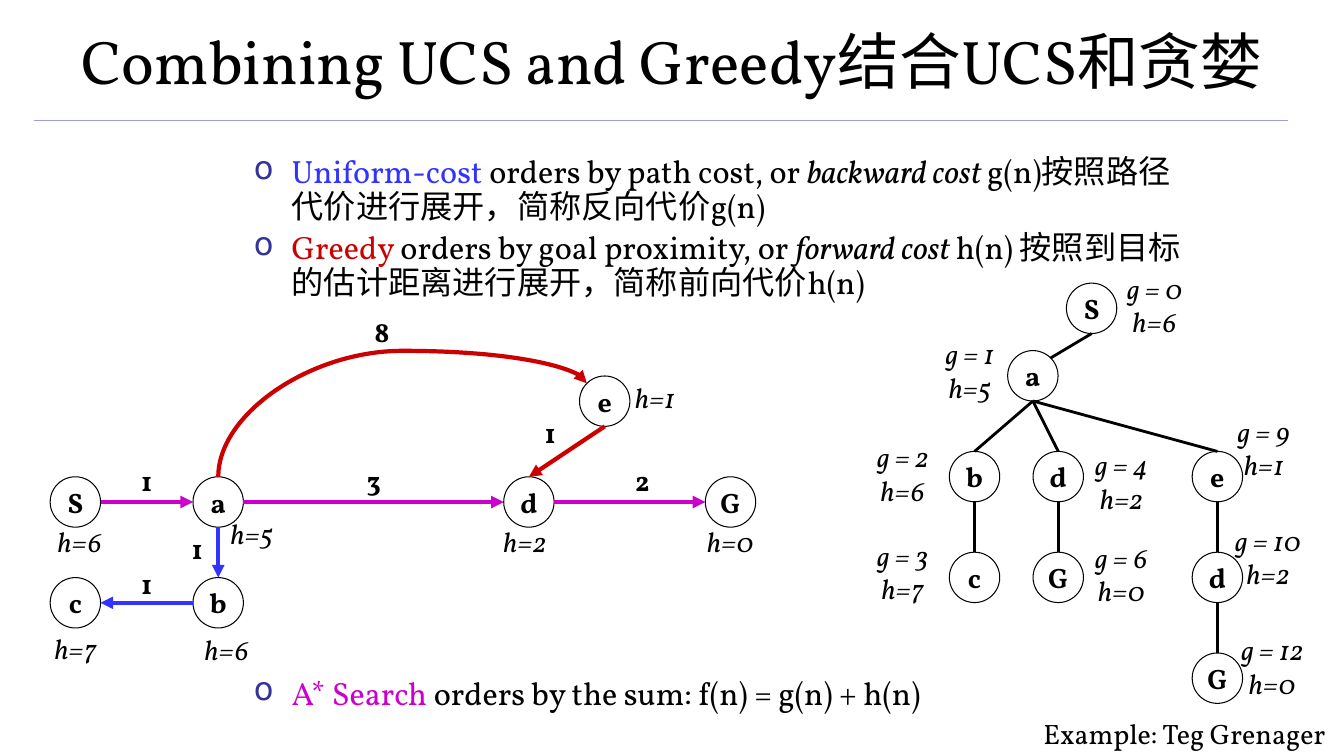
from dataclasses import dataclass
from enum import Enum

from lxml.etree import SubElement
from pptx import Presentation
from pptx.dml.color import RGBColor
from pptx.enum.shapes import MSO_CONNECTOR as Line, MSO_SHAPE as Preset
from pptx.enum.text import MSO_ANCHOR as Anchor, PP_ALIGN as Align
from pptx.oxml.ns import qn
from pptx.util import Cm, Pt


@dataclass(frozen=True)
class Theme:
    font: str = "Vollkorn"
    black: str = "000000"
    white: str = "FFFFFF"
    rule: str = "9C9CDF"
    bullet: str = "333399"
    blue: str = "3333FF"
    red: str = "CC0000"
    magenta: str = "CC00CC"
    title_size: float = 44
    body_size: float = 23
    label_size: float = 20


THEME = Theme()
RADIUS = 0.635


class Port(Enum):
    """Points on a node's rim, in radii from its centre."""
    TOP = (0, -1)
    BOTTOM = (0, 1)
    LEFT = (-1, 0)
    RIGHT = (1, 0)
    UPPER_LEFT = (-0.71, -0.71)
    UPPER_RIGHT = (0.71, -0.71)


@dataclass(frozen=True)
class Node:
    name: str
    x: float
    y: float

    def port(self, port: Port) -> tuple[float, float]:
        dx, dy = port.value
        return self.x + dx * RADIUS, self.y + dy * RADIUS


@dataclass(frozen=True)
class Edge:
    start: Node
    end: Node
    start_port: Port = Port.BOTTOM
    end_port: Port = Port.TOP
    color: str = THEME.black
    width: float = 2
    arrow: bool = False


@dataclass(frozen=True)
class Run:
    text: str
    color: str = THEME.black
    size: float = THEME.label_size
    bold: bool = False
    italic: bool = False


@dataclass(frozen=True)
class Label:
    text: str
    left: float
    top: float
    width: float
    height: float = 1.09


def add_run(paragraph, spec: Run) -> None:
    run = paragraph.add_run()
    run.text = spec.text
    font = run.font
    font.name, font.size = THEME.font, Pt(spec.size)
    font.bold, font.italic = spec.bold, spec.italic
    font.color.rgb = RGBColor.from_string(spec.color)


def add_text(slide, place: Label, run: Run, align: Align = Align.CENTER,
             anchor: Anchor = Anchor.TOP) -> None:
    box = slide.shapes.add_textbox(Cm(place.left), Cm(place.top), Cm(place.width), Cm(place.height))
    frame = box.text_frame
    frame.word_wrap, frame.vertical_anchor = True, anchor
    frame.paragraphs[0].alignment = align
    add_run(frame.paragraphs[0], run)


def add_bullets(slide, top: float, height: float, items: list[list[Run]]) -> None:
    box = slide.shapes.add_textbox(Cm(6.15), Cm(top), Cm(24.33), Cm(height))
    frame = box.text_frame
    frame.word_wrap = True
    for index, runs in enumerate(items):
        paragraph = frame.add_paragraph() if index else frame.paragraphs[0]
        properties = paragraph._p.get_or_add_pPr()
        properties.set("marL", str(Cm(0.95)))
        properties.set("indent", str(-Cm(0.95)))
        color = SubElement(properties, qn("a:buClr"))
        SubElement(color, qn("a:srgbClr"), val=THEME.bullet)
        SubElement(properties, qn("a:buChar"), char="o")
        paragraph.line_spacing = 0.9
        if index:
            paragraph.space_before = Pt(0.2 * THEME.body_size)
        for run in runs:
            add_run(paragraph, run)


def add_line(slide, start: tuple[float, float], end: tuple[float, float], color: str,
             width: float, arrow: bool = False, kind: Line = Line.STRAIGHT):
    line = slide.shapes.add_connector(kind, *(Cm(value) for value in (*start, *end)))
    line.line.color.rgb = RGBColor.from_string(color)
    line.line.width = Pt(width)
    if arrow:
        SubElement(line.line._get_or_add_ln(), qn("a:tailEnd"), type="triangle")
    SubElement(line._element.spPr, qn("a:effectLst"))
    return line


def add_edge(slide, edge: Edge) -> None:
    add_line(slide, edge.start.port(edge.start_port), edge.end.port(edge.end_port),
             edge.color, edge.width, edge.arrow)


def add_arc(slide, edge: Edge, bulge: int) -> None:
    """Draw a curved connector turned a quarter left, so that it leaves upwards."""
    start, end = edge.start.port(edge.start_port), edge.end.port(edge.end_port)
    arc = add_line(slide, start, end, edge.color, edge.width, edge.arrow, Line.CURVE)
    across, rise = end[0] - start[0], start[1] - end[1]
    arc.left = Cm((start[0] + end[0] - rise) / 2)
    arc.top = Cm((start[1] + end[1] - across) / 2)
    arc.width, arc.height = Cm(rise), Cm(across)
    properties = arc._element.spPr
    transform = properties.find(qn("a:xfrm"))
    transform.attrib.pop("flipV", None)
    transform.set("rot", str(270 * 60000))
    guides = properties.find(qn("a:prstGeom")).find(qn("a:avLst"))
    SubElement(guides, qn("a:gd"), name="adj1", fmla=f"val {bulge}")


def add_node(slide, node: Node) -> None:
    circle = slide.shapes.add_shape(Preset.OVAL, Cm(node.x - RADIUS), Cm(node.y - RADIUS),
                                    Cm(2 * RADIUS), Cm(2 * RADIUS))
    circle.shadow.inherit = False
    circle.fill.solid()
    circle.fill.fore_color.rgb = RGBColor.from_string(THEME.white)
    circle.line.color.rgb = RGBColor.from_string(THEME.black)
    circle.line.width = Pt(0.75)
    frame = circle.text_frame
    frame.word_wrap, frame.vertical_anchor = False, Anchor.MIDDLE
    frame.paragraphs[0].alignment = Align.CENTER
    add_run(frame.paragraphs[0], Run(node.name, bold=True))


def body(text: str, color: str = THEME.black, italic: bool = False) -> Run:
    return Run(text, color, THEME.body_size, italic=italic)


def arrow(start: Node, end: Node, start_port: Port, end_port: Port, color: str) -> Edge:
    return Edge(start, end, start_port, end_port, color, 3, True)


S, A, D, G = (Node(name, x, 12.65) for name, x in zip("SadG", (1.9, 5.5, 13.33, 18.41)))
C, B = Node("c", S.x, 15.19), Node("b", A.x, 15.19)
E = Node("e", 15.24, 10.11)
ARROWS = [
    arrow(A, B, Port.BOTTOM, Port.TOP, THEME.blue),
    arrow(B, C, Port.LEFT, Port.RIGHT, THEME.blue),
    arrow(E, D, Port.BOTTOM, Port.TOP, THEME.red),
    *(arrow(start, end, Port.RIGHT, Port.LEFT, THEME.magenta)
      for start, end in ((S, A), (A, D), (D, G))),
]
DETOUR = arrow(A, E, Port.TOP, Port.UPPER_LEFT, THEME.red)
COSTS = [Label(text, left, top, 1.48) for text, left, top in (
    ("1", 2.96, 11.56), ("3", 8.68, 11.56), ("2", 15.45, 11.56), ("8", 8.89, 7.8),
    ("1", 2.96, 14.15), ("1", 4.23, 13.26), ("1", 13.13, 10.34))]
HEURISTICS = [
    Label("h=6", 0.85, 13.08, 2.33), Label("h=5", 5.08, 12.88, 2.54),
    Label("h=2", 12.28, 13.08, 1.9), Label("h=0", 17.14, 13.08, 2.54),
    Label("h=7", 0.85, 15.8, 2.12), Label("h=6", 4.66, 15.82, 2.12),
    Label("h=1", 15.45, 9.47, 2.12)]

ROOT, TREE_A = Node("S", 27.51, 7.77), Node("a", 26.03, 9.47)
BRANCHES = [[Node(name, x, 12.01 + 2.54 * depth) for depth, name in enumerate(names)]
            for x, names in ((24.56, "bc"), (26.67, "dG"), (30.68, "edG"))]
TREE_EDGES = [Edge(ROOT, TREE_A, end_port=Port.UPPER_RIGHT)] + [
    Edge(parent, child) for branch in BRANCHES
    for parent, child in zip([TREE_A, *branch], branch)]
TREE_LABELS = [Label(text, left, top, width, 1.96) for text, left, top, width in (
    ("g = 0 h=6", 27.94, 6.71, 2.33), ("g = 1 h=5", 23.28, 8.36, 2.33),
    ("g = 2 h=6", 21.59, 10.95, 2.33), ("g = 3 h=7", 21.59, 13.44, 2.33),
    ("g = 4 h=2", 27.1, 11.15, 2.33), ("g = 6 h=0", 27.1, 13.49, 2.33),
    ("g = 9 h=1", 30.69, 10.31, 2.33), ("g = 10 h=2", 30.48, 13.06, 2.96),
    ("g = 12 h=0", 30.69, 15.82, 2.75))]
COST_BULLETS = [
    [body("Uniform-cost ", THEME.blue), body("orders by path cost, or "),
     body("backward cost ", italic=True), body("g(n)按照路径代价进行展开，简称反向代价g(n)")],
    [body("Greedy ", THEME.red), body("orders by goal proximity, or "),
     body("forward cost ", italic=True), body("h(n) 按照到目标的估计距离进行展开，简称前向代价h(n)")],
]
SUM_BULLET = [body("A* Search", THEME.magenta), body(" orders by the sum: f(n) = g(n) + h(n)")]


def main() -> None:
    presentation = Presentation()
    presentation.slide_width, presentation.slide_height = Cm(33.87), Cm(19.05)
    slide = presentation.slides.add_slide(presentation.slide_layouts[6])
    add_line(slide, (0.85, 3.03), (32.46, 3.03), THEME.rule, 1)
    add_text(slide, Label("", 0, -0.08, 33.87, 3.18),
             Run("Combining UCS and Greedy结合UCS和贪婪", size=THEME.title_size), anchor=Anchor.MIDDLE)
    add_bullets(slide, 3.81, 3.9, COST_BULLETS)
    add_bullets(slide, 16.94, 1.2, [SUM_BULLET])
    for node in (S, A, D, G, C, B, E, ROOT, TREE_A, *sum(BRANCHES, [])):
        add_node(slide, node)
    for edge in ARROWS + TREE_EDGES:
        add_edge(slide, edge)
    add_arc(slide, DETOUR, 134800)
    for cost in COSTS:
        add_text(slide, cost, Run(cost.text, bold=True))
    for label in HEURISTICS + TREE_LABELS:
        add_text(slide, label, Run(label.text, italic=True))
    add_text(slide, Label("", 24.97, 17.93, 8.69, 1.12), Run("Example: Teg Grenager"), Align.RIGHT)
    presentation.save("out.pptx")


if __name__ == "__main__":
    main()
